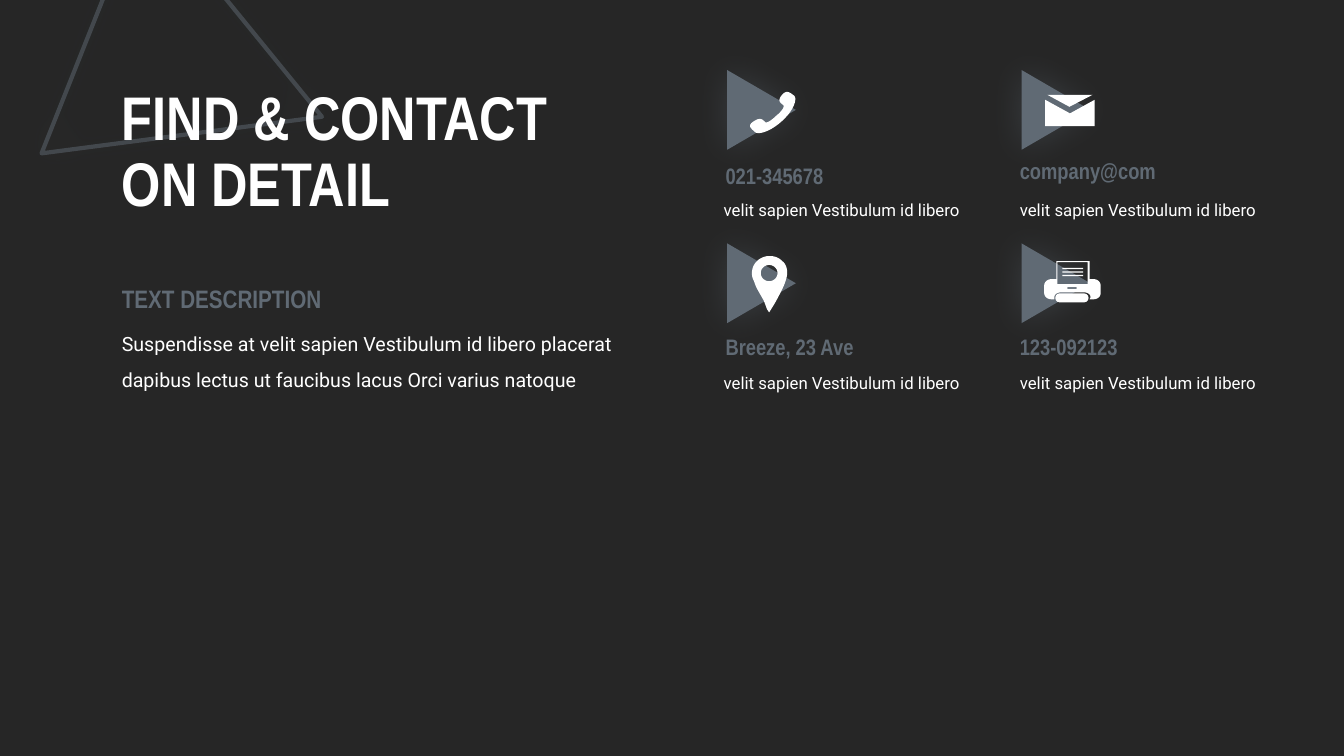
"""Build the dark contact slide with a title, a description and four contact cards."""
from dataclasses import dataclass
from typing import NamedTuple

from lxml.etree import SubElement
from pptx import Presentation
from pptx.dml.color import RGBColor
from pptx.enum.shapes import MSO_SHAPE
from pptx.enum.text import MSO_ANCHOR, MSO_AUTO_SIZE
from pptx.oxml.ns import qn
from pptx.shapes.autoshape import Shape
from pptx.util import Pt

DARK = RGBColor(0x26, 0x26, 0x26)
SLATE = RGBColor(0x60, 0x6A, 0x74)
WHITE = RGBColor(0xFF, 0xFF, 0xFF)
HEADING_FONT = "Arial Narrow"
BODY_FONT = "Roboto"
CURVE_STEPS = 10

Contour = list[tuple[float, ...]]


class Frame(NamedTuple):
    """Place and size in points."""

    left: float
    top: float
    width: float
    height: float

    def lengths(self) -> list[Pt]:
        """Return the four lengths for a shape call."""
        return [Pt(value) for value in self]


@dataclass(frozen=True)
class TextStyle:
    """Look of a text box."""

    font: str
    size: float
    color: RGBColor
    bold: bool = False
    spacing: float = 1.0
    anchor: MSO_ANCHOR = MSO_ANCHOR.TOP
    grow: bool = True


@dataclass(frozen=True)
class Card:
    """One contact card: its triangle, heading and caption."""

    heading: str
    triangle_left: float
    text_left: float
    caption_left: float
    heading_top: float
    row: int


TITLE = TextStyle(HEADING_FONT, 44, WHITE, True, 0.9, MSO_ANCHOR.MIDDLE, False)
SUBTITLE = TextStyle(HEADING_FONT, 18, SLATE, True)
DESCRIPTION = TextStyle(BODY_FONT, 14, WHITE, spacing=1.5)
CARD_HEADING = TextStyle(HEADING_FONT, 16, SLATE, True)
CARD_CAPTION = TextStyle(BODY_FONT, 12, WHITE, spacing=1.5)

ROW_STEP = 123.84
CARDS = [
    Card("021-345678", 515.5, 511.2, 509.8, 112.3, 0),
    Card("company@com", 725.8, 721.4, 721.4, 108.7, 0),
    Card("Breeze, 23 Ave", 515.5, 511.2, 509.8, 234.7, 1),
    Card("123-092123", 725.8, 721.4, 721.4, 234.7, 1),
]

PHONE: list[Contour] = [[
    (559.4, 74.9),
    (557.3, 73.4, 555.1, 72, 558.7, 67.7),
    (562.3, 63.4, 565.2, 67, 567.4, 68.4),
    (569.5, 70.6, 567.4, 78.5, 558.7, 86.4),
    (550.1, 94.3, 541.4, 96.5, 539.3, 94.3),
    (537.1, 92.2, 533.5, 90, 537.8, 87.1),
    (542.9, 83.5, 544.3, 85, 546.5, 87.1),
    (547.2, 88.6, 551.5, 85.7, 554.4, 82.8),
    (558, 79.9, 560.9, 76.3, 559.4, 74.9),
]]
ENVELOPE: list[Contour] = [
    [(764.3, 81), (781.9, 71.3), (781.9, 90), (746.6, 90), (746.6, 71.3)],
    [(780.5, 67.7), (763.9, 76.3), (748.1, 67.7)],
]
PIN: list[Contour] = [
    [
        (540.7, 186.5),
        (542.9, 184.3, 546.5, 182.9, 549.4, 182.9),
        (553.7, 182.9, 556.6, 184.3, 558.7, 186.5),
        (561.6, 188.6, 562.3, 192.2, 562.3, 195.1),
        (562.3, 196.6, 561.6, 200.2, 559.4, 205.2),
        (557.3, 209.5, 555.1, 213.8, 553, 217.4),
        (549.4, 223.2), (547.9, 221), (545.8, 215.3),
        (544.3, 212.4, 542.9, 210.2, 541.4, 207.4),
        (540, 205.2, 539.3, 203, 538.6, 200.9),
        (537.1, 198, 537.1, 196.6, 537.1, 195.1),
        (537.1, 191.5, 538.6, 188.6, 540.7, 186.5),
    ],
    [
        (543.4, 195.1),
        (543.4, 198.3, 546.1, 200.9, 549.4, 200.9),
        (552.7, 200.9, 555.4, 198.3, 555.4, 195.1),
        (555.4, 191.9, 552.7, 189.3, 549.4, 189.3),
        (546.1, 189.3, 543.4, 191.9, 543.4, 195.1),
    ],
]
PRINTER_BODY: list[Contour] = [
    [
        (781.2, 199.4), (778.3, 199.4), (778.3, 186.5), (754.6, 186.5),
        (754.6, 199.4), (751, 199.4),
        (748.1, 199.4, 745.9, 201.6, 745.9, 203.8), (745.9, 209.5),
        (745.9, 211.7, 748.1, 213.8, 751, 213.8), (753.1, 213.8), (753.1, 212.4),
        (753.1, 210.2, 755.3, 208.8, 758.2, 208.8), (774, 208.8),
        (776.9, 208.8, 779, 210.2, 779, 212.4), (778.3, 213.8), (781.2, 213.8),
        (784.1, 213.8, 786.2, 211.7, 786.2, 209.5), (786.2, 203.8),
        (786.2, 201.6, 784.1, 199.4, 781.2, 199.4),
    ],
    [(755.3, 187.2), (776.9, 187.2), (776.9, 203), (755.3, 203)],
    [(762.5, 205.2), (769, 205.2), (769, 206.3), (762.5, 206.3)],
]


def flatten(contour: Contour) -> list[tuple[Pt, Pt]]:
    """Turn lines and cubic curves into a run of points."""
    points = [contour[0]]
    for segment in contour[1:]:
        if len(segment) == 2:
            points.append(segment)
            continue
        x0, y0 = points[-1]
        x1, y1, x2, y2, x3, y3 = segment
        for step in range(1, CURVE_STEPS + 1):
            t = step / CURVE_STEPS
            a, b, c, d = (1 - t) ** 3, 3 * t * (1 - t) ** 2, 3 * t * t * (1 - t), t ** 3
            points.append((a * x0 + b * x1 + c * x2 + d * x3,
                           a * y0 + b * y1 + c * y2 + d * y3))
    return [(Pt(x), Pt(y)) for x, y in points]


def paint_white(shape: Shape) -> None:
    """Give an icon part a plain white fill."""
    shape.shadow.inherit = False
    shape.fill.solid()
    shape.fill.fore_color.rgb = WHITE
    shape.line.fill.background()


def add_icon(shapes, contours: list[Contour]) -> None:
    """Draw closed contours as one white freeform."""
    first, *others = [flatten(contour) for contour in contours]
    builder = shapes.build_freeform(*first[0])
    builder.add_line_segments(first[1:], close=True)
    for points in others:
        builder.move_to(*points[0])
        builder.add_line_segments(points[1:], close=True)
    paint_white(builder.convert_to_shape())


def add_triangle(page, frame: Frame, rotation: float, outlined: bool = False) -> None:
    """Draw a glowing triangle, filled or outlined."""
    shape = page.shapes.add_shape(MSO_SHAPE.ISOSCELES_TRIANGLE, *frame.lengths())
    shape.rotation = rotation
    if outlined:
        shape.fill.background()
        shape.line.color.rgb = SLATE
        shape.line.width = Pt(3)
        color = shape.line._ln.find(".//" + qn("a:srgbClr"))
        SubElement(color, qn("a:alpha"), val="50000")
    else:
        shape.fill.solid()
        shape.fill.fore_color.rgb = SLATE
        shape.line.fill.background()
    shape.shadow.inherit = False
    effects = shape._element.spPr.find(qn("a:effectLst"))
    glow = SubElement(effects, qn("a:outerShdw"), blurRad=str(Pt(25)), dist="0",
                      dir="0", algn="ctr", rotWithShape="0")
    color = SubElement(glow, qn("a:srgbClr"), val=str(SLATE))
    SubElement(color, qn("a:alpha"), val="35000")


def add_text(page, frame: Frame, lines: list[str], style: TextStyle) -> None:
    """Add a text box with one paragraph of broken lines."""
    box = page.shapes.add_textbox(*frame.lengths()).text_frame
    box.word_wrap = True
    box.auto_size = MSO_AUTO_SIZE.SHAPE_TO_FIT_TEXT if style.grow else MSO_AUTO_SIZE.NONE
    box.vertical_anchor = style.anchor
    para = box.paragraphs[0]
    para.line_spacing = style.spacing
    for index, line in enumerate(lines):
        if index:
            para.add_line_break()
        span = para.add_run()
        span.text = line
        span.font.name = style.font
        span.font.size = Pt(style.size)
        span.font.bold = style.bold
        span.font.color.rgb = style.color


def add_printer(page) -> None:
    """Draw the printer icon as a group."""
    parts = page.shapes.add_group_shape().shapes
    tray = parts.add_shape(MSO_SHAPE.ROUNDED_RECTANGLE, *Frame(753.8, 209.5, 23.8, 6.5).lengths())
    tray.adjustments[0] = 0.5
    paint_white(tray)
    add_icon(parts, PRINTER_BODY)
    for row in range(3):
        frame = Frame(758.9, 191.3 + 2.5 * row, 14.8, 0.9)
        paint_white(parts.add_shape(MSO_SHAPE.RECTANGLE, *frame.lengths()))


def main() -> None:
    """Build and save the deck."""
    deck = Presentation()
    deck.slide_width, deck.slide_height = Pt(960), Pt(540)
    page = deck.slides.add_slide(deck.slide_layouts[6])
    page.background.fill.solid()
    page.background.fill.fore_color.rgb = DARK
    add_triangle(page, Frame(49.7, -37.4, 196.6, 176.4), 111.7, outlined=True)
    add_text(page, Frame(79.9, 52.6, 404.6, 113.8), ["FIND & CONTACT", "ON DETAIL"], TITLE)
    add_text(page, Frame(79.9, 225.4, 369.4, 55.4),
             ["Suspendisse at velit sapien Vestibulum id libero placerat "
              "dapibus lectus ut faucibus lacus Orci varius natoque"], DESCRIPTION)
    add_text(page, Frame(79.9, 198.7, 176.4, 28.8), ["TEXT DESCRIPTION"], SUBTITLE)
    for card in CARDS:
        shift = card.row * ROW_STEP
        add_triangle(page, Frame(card.triangle_left, 54 + shift, 56.9, 49), 90)
        add_text(page, Frame(card.text_left, card.heading_top, 139, 26.6),
                 [card.heading], CARD_HEADING)
        add_text(page, Frame(card.caption_left, 131.8 + shift, 190.8, 26.6),
                 ["velit sapien Vestibulum id libero"], CARD_CAPTION)
    for contours in (PHONE, ENVELOPE, PIN):
        add_icon(page.shapes, contours)
    add_printer(page)
    deck.save("out.pptx")


if __name__ == "__main__":
    main()
